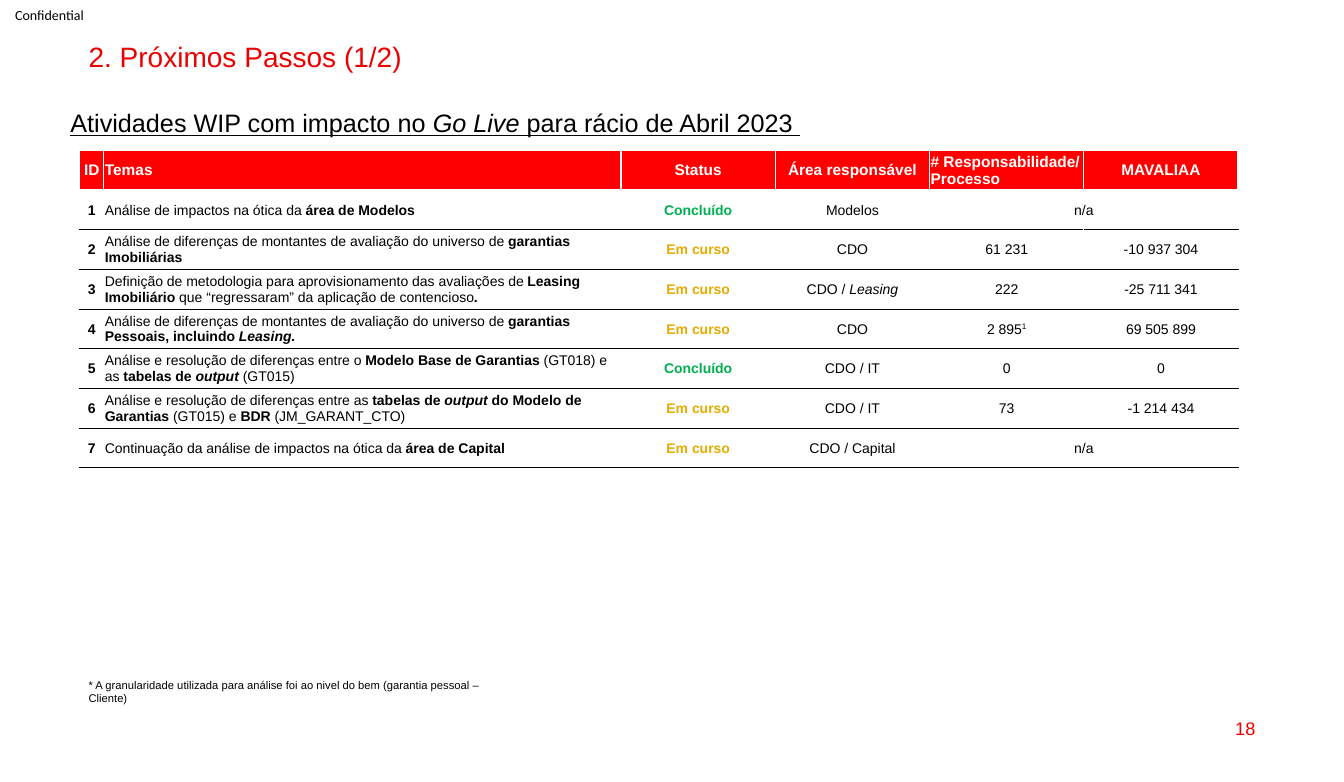
from dataclasses import dataclass

from lxml.etree import SubElement
from pptx import Presentation
from pptx.dml.color import RGBColor
from pptx.enum.text import MSO_ANCHOR as Anchor, PP_ALIGN as Align
from pptx.oxml.ns import qn
from pptx.util import Inches, Pt

BLACK = RGBColor(0x00, 0x00, 0x00)
WHITE = RGBColor(0xFF, 0xFF, 0xFF)
TITLE_RED = RGBColor(0xEB, 0x00, 0x00)
HEADER_RED = RGBColor(0xFF, 0x00, 0x00)
GREEN = RGBColor(0x00, 0xB0, 0x50)
AMBER = RGBColor(0xE5, 0xAB, 0x00)

STATUS_COLORS = {"Concluído": GREEN, "Em curso": AMBER}
COLUMN_WIDTHS = (0.24, 5.13, 1.53, 1.53, 1.53, 1.53)
TABLE_HEIGHT = Inches(3.15)
HEADERS = ("ID", "Temas", "Status", "Área responsável",
           "# Responsabilidade/ Processo", "MAVALIAA")
LEFT_HEADERS = (1, 4)
TOPIC_COLUMN = 1


@dataclass(frozen=True)
class Span:
    text: str
    bold: bool = False
    italic: bool = False
    underline: bool = False
    superscript: bool = False


@dataclass(frozen=True)
class Style:
    size: float
    color: RGBColor = BLACK
    font: str = "Arial"
    align: Align = Align.LEFT
    line_spacing: float = 1.0


@dataclass(frozen=True)
class Label:
    left: float
    top: float
    width: float
    height: float
    spans: tuple[Span, ...]
    style: Style
    anchor: Anchor = Anchor.MIDDLE
    inset: tuple[float, float] = (0.1, 0.05)


@dataclass(frozen=True)
class Activity:
    topic: tuple[Span, ...]
    status: str
    area: tuple[Span, ...]
    count: tuple[Span, ...]
    amount: str = ""


def plain(text: str) -> tuple[Span, ...]:
    return (Span(text),)


def bold(text: str, italic: bool = False) -> Span:
    return Span(text, bold=True, italic=italic)


LABELS = (
    Label(0, 0, 0.99, 0.29, plain("Confidential"), Style(10, font="Calibri"),
          inset=(0.15, 0)),
    Label(0.78, 0.38, 11.77, 0.34, plain("2. Próximos Passos (1/2)"),
          Style(20, TITLE_RED, line_spacing=0.9), Anchor.TOP),
    Label(9.55, 7.02, 3, 0.41, plain("18"), Style(13, TITLE_RED, align=Align.RIGHT)),
    Label(0.78, 6.74, 4.28, 0.24,
          plain("* A granularidade utilizada para análise foi ao nivel do bem "
                "(garantia pessoal – Cliente)"), Style(8)),
    Label(0.6, 0.87, 11.77, 1.05,
          (Span("Atividades WIP com impacto no ", underline=True),
           Span("Go Live", italic=True, underline=True),
           Span(" para rácio de Abril 2023 ", underline=True)),
          Style(18, line_spacing=1.5), Anchor.TOP),
)

ACTIVITIES = (
    Activity((Span("Análise de impactos na ótica da "), bold("área de Modelos")),
             "Concluído", plain("Modelos"), plain("n/a")),
    Activity((Span("Análise de diferenças de montantes de avaliação do universo de "),
              bold("garantias Imobiliárias")),
             "Em curso", plain("CDO"), plain("61 231"), "-10 937 304"),
    Activity((Span("Definição de metodologia para aprovisionamento das avaliações de "),
              bold("Leasing Imobiliário "),
              Span("que “regressaram” da aplicação de contencioso"), bold(".")),
             "Em curso", (Span("CDO / "), Span("Leasing", italic=True)),
             plain("222"), "-25 711 341"),
    Activity((Span("Análise de diferenças de montantes de avaliação do universo de "),
              bold("garantias Pessoais, incluindo "), bold("Leasing.", italic=True)),
             "Em curso", plain("CDO"),
             (Span("2 895"), Span("1", superscript=True)), "69 505 899"),
    Activity((Span("Análise e resolução de diferenças entre o "),
              bold("Modelo Base de Garantias "), Span("(GT018) e as "),
              bold("tabelas de "), bold("output ", italic=True), Span("(GT015)")),
             "Concluído", plain("CDO / IT"), plain("0"), "0"),
    Activity((Span("Análise e resolução de diferenças entre as "),
              bold("tabelas de "), bold("output ", italic=True),
              bold("do Modelo de Garantias "), Span("(GT015) e "),
              bold("BDR"), Span(" (JM_GARANT_CTO)")),
             "Em curso", plain("CDO / IT"), plain("73"), "-1 214 434"),
    Activity((Span("Continuação da análise de impactos na ótica da "),
              bold("área de Capital")),
             "Em curso", plain("CDO / Capital"), plain("n/a")),
)


def write_spans(paragraph, spans: tuple[Span, ...], style: Style) -> None:
    paragraph.alignment = style.align
    paragraph.line_spacing = style.line_spacing
    for span in spans:
        run = paragraph.add_run()
        run.text = span.text
        font = run.font
        font.name, font.size = style.font, Pt(style.size)
        font.color.rgb = style.color
        font.bold, font.italic, font.underline = span.bold, span.italic, span.underline
        if span.superscript:
            run._r.get_or_add_rPr().set("baseline", "30000")


def add_label(slide, label: Label) -> None:
    box = slide.shapes.add_textbox(Inches(label.left), Inches(label.top),
                                   Inches(label.width), Inches(label.height))
    frame = box.text_frame
    frame.word_wrap = True
    frame.vertical_anchor = label.anchor
    horizontal, vertical = label.inset
    frame.margin_left = frame.margin_right = Inches(horizontal)
    frame.margin_top = frame.margin_bottom = Inches(vertical)
    write_spans(frame.paragraphs[0], label.spans, label.style)


def set_borders(cell, top: RGBColor, bottom: RGBColor) -> None:
    properties = cell._tc.get_or_add_tcPr()
    for side, color in (("L", WHITE), ("R", WHITE), ("T", top), ("B", bottom)):
        width = Pt(1) if color == WHITE else Pt(0.5)
        line = SubElement(properties, qn(f"a:ln{side}"), w=str(width))
        fill = SubElement(line, qn("a:solidFill"))
        SubElement(fill, qn("a:srgbClr"), val=str(color))


def fill_cell(cell, spans: tuple[Span, ...], style: Style) -> None:
    cell.vertical_anchor = Anchor.MIDDLE
    cell.margin_left = cell.margin_right = cell.margin_top = Inches(0.01)
    cell.margin_bottom = 0
    write_spans(cell.text_frame.paragraphs[0], spans, style)


def add_activity_table(slide) -> None:
    row_count = len(ACTIVITIES) + 1
    table = slide.shapes.add_table(row_count, len(HEADERS), Inches(0.79), Inches(1.49),
                                   Inches(sum(COLUMN_WIDTHS)), TABLE_HEIGHT).table
    table.first_row = table.horz_banding = False
    for column, width in zip(table.columns, COLUMN_WIDTHS):
        column.width = Inches(width)
    for index, row in enumerate(table.rows):
        row.height = TABLE_HEIGHT // row_count
        for cell in row.cells:
            set_borders(cell, BLACK if index > 1 else WHITE, BLACK if index else WHITE)
            if index:
                cell.fill.background()
            else:
                cell.fill.solid()
                cell.fill.fore_color.rgb = HEADER_RED
    for column, header in enumerate(HEADERS):
        align = Align.LEFT if column in LEFT_HEADERS else Align.CENTER
        fill_cell(table.cell(0, column), (bold(header),), Style(11, WHITE, align=align))
    for number, activity in enumerate(ACTIVITIES, start=1):
        contents = [(bold(str(number)),), activity.topic, (bold(activity.status),),
                    activity.area, activity.count]
        if activity.amount:
            contents.append(plain(activity.amount))
        else:
            table.cell(number, 4).merge(table.cell(number, 5))
        for column, spans in enumerate(contents):
            align = Align.LEFT if column == TOPIC_COLUMN else Align.CENTER
            color = STATUS_COLORS.get(spans[0].text, BLACK)
            fill_cell(table.cell(number, column), spans, Style(10, color, align=align))


def main() -> None:
    presentation = Presentation()
    presentation.slide_width, presentation.slide_height = Inches(13.33), Inches(7.76)
    slide = presentation.slides.add_slide(presentation.slide_layouts[6])
    add_activity_table(slide)
    for label in LABELS:
        add_label(slide, label)
    presentation.save("out.pptx")


if __name__ == "__main__":
    main()
